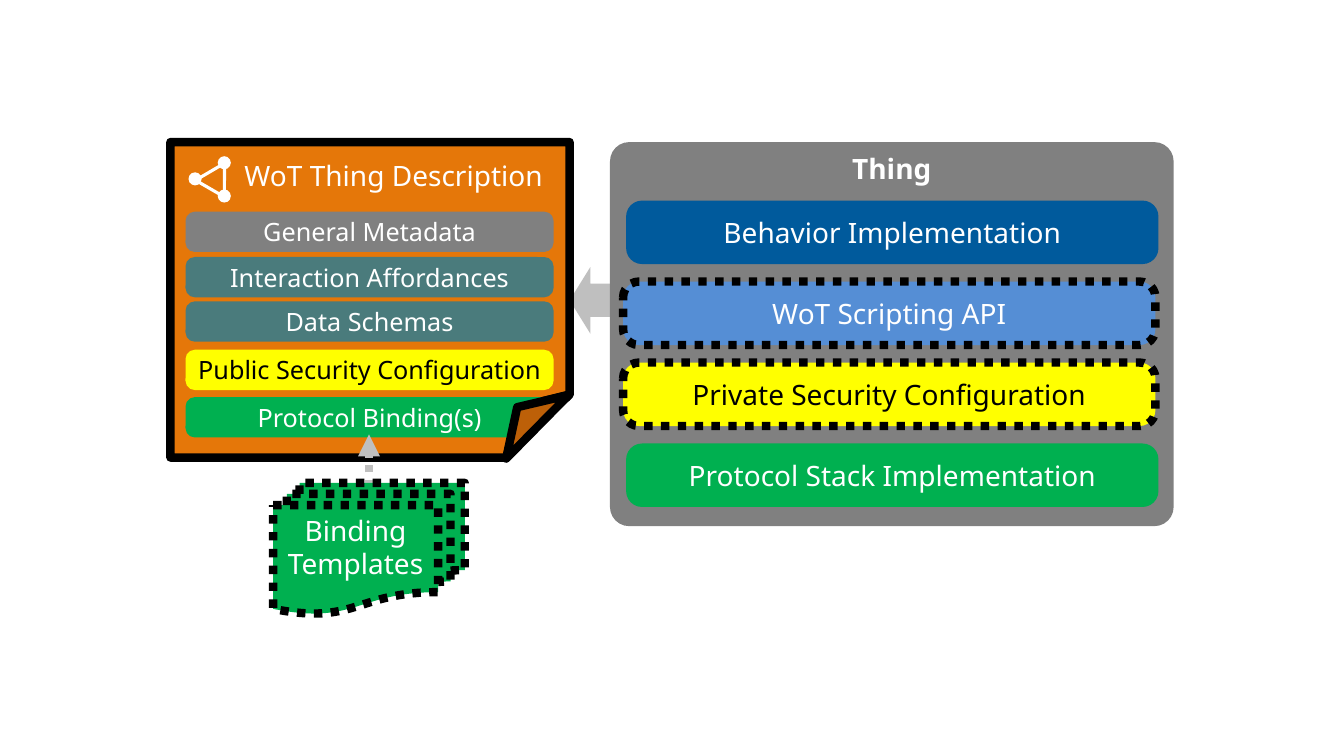
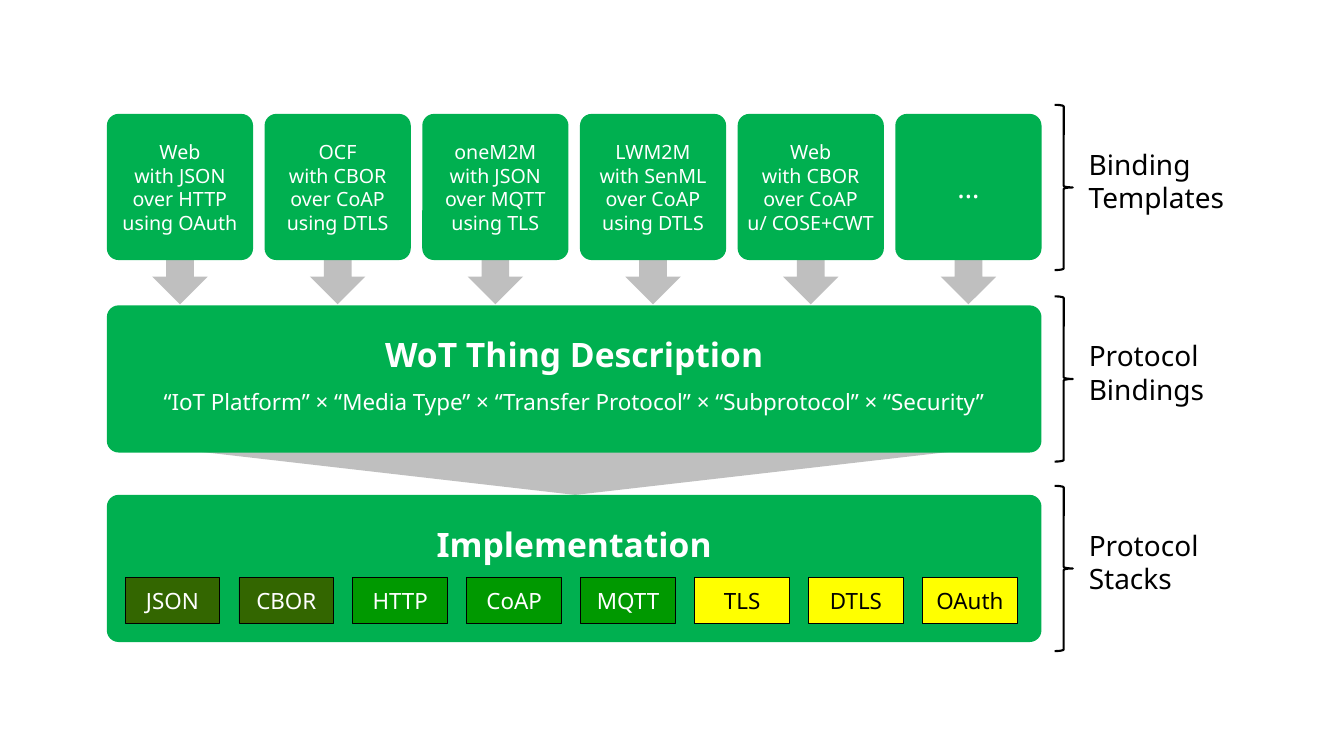
from lxml import etree
from pptx import Presentation
from pptx.dml.color import RGBColor
from pptx.enum.dml import MSO_LINE
from pptx.enum.shapes import MSO_CONNECTOR, MSO_SHAPE
from pptx.enum.text import MSO_ANCHOR, MSO_AUTO_SIZE, PP_ALIGN
from pptx.oxml.ns import qn
from pptx.util import Inches, Pt

DOTTED = MSO_LINE.ROUND_DOT
ROUNDED = MSO_SHAPE.ROUNDED_RECTANGLE
DOWN_ARROW = MSO_SHAPE.DOWN_ARROW
TOP, MIDDLE = MSO_ANCHOR.TOP, MSO_ANCHOR.MIDDLE
LEFT, CENTER = PP_ALIGN.LEFT, PP_ALIGN.CENTER

FONT = "Noto Sans"
COLORS = {
    "white": "FFFFFF", "black": "000000", "gray": "808080", "arrow": "BFBFBF",
    "green": "00B050", "yellow": "FFFF00", "blue": "005A9C", "sky": "558ED5",
    "orange": "E57709", "fold": "BD6008", "teal": "4A7B7C",
    "olive": "336600", "leaf": "009900",
}

LAYERS = [
    ("Behavior Implementation", "blue", False),
    ("WoT Scripting API", "sky", True),
    ("Private Security Configuration", "yellow", True),
    ("Protocol Stack Implementation", "green", False),
]
SECTIONS = [
    ("General Metadata", "gray", 2.10),
    ("Interaction Affordances", "teal", 2.55),
    ("Data Schemas", "teal", 2.99),
    ("Public Security Configuration", "yellow", 3.47),
    ("Protocol Binding(s)", "green", 3.94),
]
GRAPH_NODES = [(2.16, 1.55), (1.87, 1.71), (2.16, 1.88)]
TEMPLATES = [
    (["Web", "with JSON", "over HTTP", "using OAuth"], 14),
    (["OCF", "with CBOR", "over CoAP", "using DTLS"], 14),
    (["oneM2M", "with JSON", "over MQTT", "using TLS"], 14),
    (["LWM2M", "with SenML", "over CoAP", "using DTLS"], 14),
    (["Web", "with CBOR", "over CoAP", "u/ COSE+CWT"], 14),
    (["…"], 20),
]
PANELS = [
    (3.03, ["WoT Thing Description",
            "“IoT Platform” × “Media Type” × “Transfer Protocol” × “Subprotocol” × “Security”"]),
    (4.91, ["Implementation"]),
]
STACK = [
    ("JSON", "olive"), ("CBOR", "olive"), ("HTTP", "leaf"), ("CoAP", "leaf"),
    ("MQTT", "leaf"), ("TLS", "yellow"), ("DTLS", "yellow"), ("OAuth", "yellow"),
]
ROW_LABELS = [
    (1.13, ["Binding", "Templates"], 1.57),
    (3.03, ["Protocol", "Bindings"], 1.35),
    (4.91, ["Protocol", "Stacks"], 1.31),
]


def rgb(name):
    return RGBColor.from_string(COLORS[name])


def set_all(target, values):
    for name, value in values.items():
        setattr(target, name, value)


def paint(shape, fill=None, line=None, weight=1, dash=None):
    shape.shadow.inherit = False
    if fill:
        shape.fill.solid()
        shape.fill.fore_color.rgb = rgb(fill)
    else:
        shape.fill.background()
    if line:
        shape.line.color.rgb = rgb(line)
        set_all(shape.line, {"width": Pt(weight), "dash_style": dash})
    else:
        shape.line.fill.background()


def write(shape, lines, size, color="white", anchor=MIDDLE, align=CENTER,
          insets=(0.1, 0.05, 0.1, 0.05), bold=False, spacing=None):
    frame = shape.text_frame
    sides = ("margin_left", "margin_top", "margin_right", "margin_bottom")
    set_all(frame, dict(zip(sides, map(Inches, insets))))
    set_all(frame, {"text": "\n".join(lines), "word_wrap": False, "vertical_anchor": anchor})
    for paragraph in frame.paragraphs:
        set_all(paragraph, {"alignment": align, "line_spacing": spacing})
        for run in paragraph.runs:
            set_all(run.font, {"name": FONT, "size": Pt(size), "bold": bold})
            run.font.color.rgb = rgb(color)


def add_part(slide, kind, box, fill=None, adjust=(), **outline):
    part = slide.shapes.add_shape(kind, *map(Inches, box))
    for index, value in enumerate(adjust):
        part.adjustments[index] = value
    paint(part, fill, **outline)
    return part


def set_fold(sheet, share):
    guides = sheet._element.spPr.find(qn("a:prstGeom")).find(qn("a:avLst"))
    for guide in list(guides):
        guides.remove(guide)
    etree.SubElement(guides, qn("a:gd"), name="adj", fmla=f"val {round(share * 100000)}")


def add_outline(slide, points, fill, **outline):
    corners = [(Inches(x), Inches(y)) for x, y in points]
    builder = slide.shapes.build_freeform(*corners[0], scale=1.0)
    builder.add_line_segments(corners[1:], close=True)
    paint(builder.convert_to_shape(), fill, **outline)


def text_on(fill):
    return "black" if fill == "yellow" else "white"


def add_dotted_arrow(slide, start, end):
    arrow = slide.shapes.add_connector(MSO_CONNECTOR.STRAIGHT, *map(Inches, start + end))
    arrow.line.color.rgb = rgb("arrow")
    set_all(arrow.line, {"width": Pt(5.25), "dash_style": DOTTED})
    properties = arrow._element.spPr
    etree.SubElement(properties.find(qn("a:ln")), qn("a:tailEnd"), type="triangle")
    etree.SubElement(properties, qn("a:effectLst"))


def build_thing(slide):
    add_part(slide, MSO_SHAPE.LEFT_ARROW, (5.65, 2.65, 0.41, 0.66), "arrow")
    thing = add_part(slide, ROUNDED, (6.05, 1.41, 5.59, 3.81), "gray", [0.05])
    write(thing, ["Thing"], 20, anchor=TOP, insets=(0.1, 0.04, 0.1, 0.08), bold=True)
    first, last = 1.99, 4.40
    pitch = (last - first) / (len(LAYERS) - 1)
    for index, (label, fill, optional) in enumerate(LAYERS):
        border = {"line": "black", "weight": 6, "dash": DOTTED} if optional else {}
        left = 6.18 if optional else 6.21
        layer = add_part(slide, ROUNDED, (left, first + index * pitch, 5.28, 0.63),
                         fill, [0.25], **border)
        write(layer, [label], 20, text_on(fill))


def build_description(slide):
    description = add_part(slide, MSO_SHAPE.FOLDED_CORNER, (1.69, 1.41, 3.96, 3.13),
                           "orange", line="black", weight=6)
    set_fold(description, 0.2)
    write(description, ["WoT Thing Description"], 20, anchor=TOP, insets=(0.47, 0.16, 0, 0))
    edges = add_part(slide, MSO_SHAPE.ISOSCELES_TRIANGLE, (1.99, 1.6, 0.33, 0.29),
                     line="white", weight=2.25)
    edges.rotation = 30
    for left, top in GRAPH_NODES:
        add_part(slide, MSO_SHAPE.OVAL, (left, top, 0.13, 0.13), "white")
    for label, fill, top in SECTIONS:
        section = add_part(slide, ROUNDED, (1.84, top, 3.65, 0.4), fill, [0.23])
        write(section, [label], 18, text_on(fill))
    add_outline(slide, [(5.01, 4.55), (5.65, 4.55), (5.64, 3.92)], "white")
    add_outline(slide, [(5.02, 4.55), (5.13, 4.04), (5.64, 3.92)], "fold",
                line="black", weight=6)
    add_dotted_arrow(slide, (3.66, 5.27), (3.66, 4.31))
    templates = add_part(slide, MSO_SHAPE.FLOWCHART_MULTIDOCUMENT, (2.71, 4.79, 1.9, 1.3),
                         "green", line="black", weight=6, dash=DOTTED)
    write(templates, ["Binding", "Templates"], 20, anchor=TOP, insets=(0, 0.08, 0, 0))


def build_bindings(slide):
    left, width, card, arrow = 1.06, 9.27, 1.45, 0.55
    pitch = (width - card) / (len(TEMPLATES) - 1)
    card_lefts = [left + index * pitch for index in range(len(TEMPLATES))]
    add_part(slide, DOWN_ARROW, (1.88, 4.03, 7.65, 0.88), "arrow", [0.76, 0.5])
    for card_left, (lines, size) in zip(card_lefts, TEMPLATES):
        add_part(slide, DOWN_ARROW, (card_left + (card - arrow) / 2, 2.36, arrow, 0.66), "arrow")
        template = add_part(slide, ROUNDED, (card_left, 1.13, card, card), "green", [0.08])
        write(template, lines, size)
    for top, lines in PANELS:
        panel = add_part(slide, ROUNDED, (left, top, width, 1.46), "green", [0.08])
        write(panel, lines, 24, anchor=TOP, bold=True, spacing=1.5)
        for paragraph in panel.text_frame.paragraphs[1:]:
            set_all(paragraph.runs[0].font, {"size": Pt(16), "bold": False})
    for index, (label, fill) in enumerate(STACK):
        protocol = add_part(slide, MSO_SHAPE.RECTANGLE, (1.24 + index * 1.13, 5.73, 0.94, 0.45),
                            fill, line="black", weight=0.5)
        write(protocol, [label], 16, text_on(fill))
    for top, lines, label_width in ROW_LABELS:
        add_part(slide, MSO_SHAPE.RIGHT_BRACE, (10.46, top - 0.09, 0.18, 1.64),
                 line="black", weight=1.5)
        label = slide.shapes.add_textbox(*map(Inches, (10.7, top + 0.28, label_width, 0.77)))
        write(label, lines, 20, "black", TOP, LEFT)
        label.text_frame.auto_size = MSO_AUTO_SIZE.SHAPE_TO_FIT_TEXT


def main():
    deck = Presentation()
    set_all(deck, {"slide_width": Inches(13.33), "slide_height": Inches(7.5)})
    blank = deck.slide_layouts[6]
    overview = deck.slides.add_slide(blank)
    build_thing(overview)
    build_description(overview)
    build_bindings(deck.slides.add_slide(blank))
    deck.save("out.pptx")


if __name__ == "__main__":
    main()
